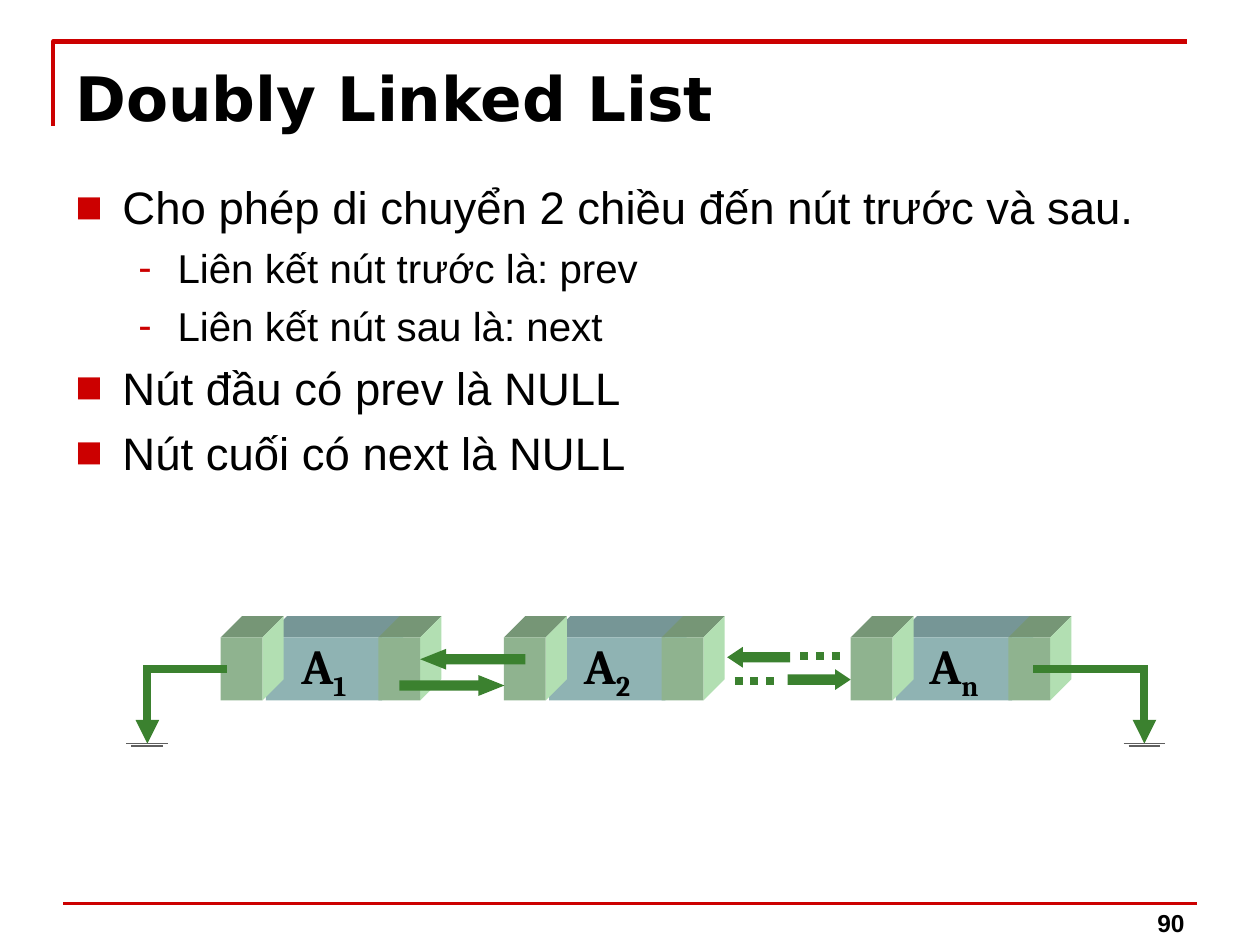
from lxml import etree
from pptx import Presentation
from pptx.dml.color import RGBColor
from pptx.enum.dml import MSO_LINE
from pptx.enum.shapes import MSO_CONNECTOR, MSO_SHAPE
from pptx.enum.text import MSO_ANCHOR, PP_ALIGN
from pptx.oxml.ns import qn
from pptx.util import Cm, Pt

STRAIGHT = MSO_CONNECTOR.STRAIGHT
DOTTED = MSO_LINE.ROUND_DOT
RECTANGLE = MSO_SHAPE.RECTANGLE
RIGHT, LEFT = MSO_SHAPE.RIGHT_ARROW, MSO_SHAPE.LEFT_ARROW
TOP, MIDDLE, BOTTOM = MSO_ANCHOR.TOP, MSO_ANCHOR.MIDDLE, MSO_ANCHOR.BOTTOM

RED, GREEN, GRAY, BLACK = "CC0000", "3B812F", "5F5F5F", "000000"

# Content
TITLE = "Doubly Linked List"
PAGE_NUMBER = "90"
BULLETS = [
    (0, "Cho phép di chuyển 2 chiều đến nút trước và sau."),
    (1, "Liên kết nút trước là: prev"),
    (1, "Liên kết nút sau là: next"),
    (0, "Nút đầu có prev là NULL"),
    (0, "Nút cuối có next là NULL"),
]
LEVELS = [  # lengths in cm, sizes in points
    {"bullet": "■", "margin": 0.95, "hanging": 0.95, "size": 26, "before": 6},
    {"bullet": "-", "margin": 2.06, "hanging": 0.79, "size": 23, "before": 5.5},
]

# Diagram, in cm
NODES = [("1", 4.45), ("2", 10.16), ("n", 17.15)]  # subscript, left
NODE_TOP, NODE_HEIGHT, DEPTH = 12.85, 1.27, 0.43
LINK_FACES = ("8FB38F", "769676", "B2DFB2")  # front, top, side
DATA_FACES = ("8FB3B3", "769696", "B2DFDF")
NODE_PARTS = [  # offset, width, faces, holds text; back to front
    (0.91, 2.34, DATA_FACES, True),
    (3.18, 0.84, LINK_FACES, False),
    (0, 0.84, LINK_FACES, False),
]
BLOCK_ARROWS = [  # direction, left, top, width, head length
    (RIGHT, 8.05, 13.61, 2.12, 1.25),
    (RIGHT, 15.88, 13.49, 1.27, 0.75),
    (LEFT, 8.47, 13.08, 2.12, 1.25),
    (LEFT, 14.66, 13.04, 1.27, 0.75),
]
ARROW_HEIGHT = 0.42
DOTS = [(14.81, 13.72), (16.13, 13.23)]  # left, y
DOTS_WIDTH = 0.86
NULL_ENDS = [(4.57, 2.97), (20.83, 23.07)]  # link start x, ground x
LINK_Y, GROUND_Y = 13.49, 14.99
GROUND_BARS = [(0, 0.42), (0.05, 0.32)]  # drop, half width


def color(value):
    return RGBColor.from_string(value)


def apply(target, values):
    for name, value in values.items():
        setattr(target, name, value)


def set_font(font, name, size, bold=False):
    apply(font, {"name": name, "size": Pt(size), "bold": bold})
    font.color.rgb = color(BLACK)


def paint(shape, fill):
    shape.shadow.inherit = False
    shape.fill.solid()
    shape.fill.fore_color.rgb = color(fill)
    shape.line.fill.background()


def add_polygon(slide, points, closed=True):
    points = [(Cm(x), Cm(y)) for x, y in points]
    builder = slide.shapes.build_freeform(*points[0], scale=1.0)
    builder.add_line_segments(points[1:], close=closed)
    return builder.convert_to_shape()


def add_line(slide, start, end, line_color, width, dash=None, arrow=False):
    connector = slide.shapes.add_connector(
        STRAIGHT, *(Cm(value) for value in (*start, *end)))
    connector.line.color.rgb = color(line_color)
    connector.line.width = Pt(width)
    if dash:
        connector.line.dash_style = dash
    if arrow:
        etree.SubElement(connector.line._get_or_add_ln(), qn("a:tailEnd"), type="triangle")
    etree.SubElement(connector._element.spPr, qn("a:effectLst"))


def add_text_box(slide, box, anchor, margin_top=0.13):
    frame = slide.shapes.add_textbox(*(Cm(value) for value in box)).text_frame
    apply(frame, {"word_wrap": True, "vertical_anchor": anchor,
                  "margin_top": Cm(margin_top)})
    return frame


def add_bullet(paragraph, level):
    properties = paragraph._p.get_or_add_pPr()
    properties.set("marL", str(Cm(level["margin"])))
    properties.set("indent", str(-Cm(level["hanging"])))
    bullet_color = etree.SubElement(properties, qn("a:buClr"))
    etree.SubElement(bullet_color, qn("a:srgbClr"), val=RED)
    etree.SubElement(properties, qn("a:buFont"), typeface="Arial")
    etree.SubElement(properties, qn("a:buChar"), char=level["bullet"])


def add_block(slide, left, width, faces):
    """Draw a box with its top and right side; return the front."""
    top, right, bottom = NODE_TOP, left + width, NODE_TOP + NODE_HEIGHT
    back_top, back_right = top - DEPTH, right + DEPTH
    front_fill, top_fill, side_fill = faces
    paint(add_polygon(slide, [(left, top), (left + DEPTH, back_top),
                              (back_right, back_top), (right, top)]), top_fill)
    paint(add_polygon(slide, [(right, top), (back_right, back_top),
                              (back_right, bottom - DEPTH), (right, bottom)]), side_fill)
    front = slide.shapes.add_shape(
        RECTANGLE, Cm(left), Cm(top), Cm(width), Cm(NODE_HEIGHT))
    paint(front, front_fill)
    return front


def add_label(shape, subscript):
    frame = shape.text_frame
    apply(frame, {"word_wrap": False, "vertical_anchor": MIDDLE})
    paragraph = frame.paragraphs[0]
    paragraph.alignment = PP_ALIGN.CENTER
    for text in ("A", subscript):
        run = paragraph.add_run()
        run.text = text
        set_font(run.font, "Cambria", 28, True)
    run.font._element.set("baseline", "-25000")


def add_frame_and_text(slide):
    # Corner rule and footer rule
    corner = add_polygon(slide, [(1.07, 2.54), (1.07, 0.84), (23.93, 0.84)], closed=False)
    corner.shadow.inherit = False
    corner.fill.background()
    corner.line.color.rgb = color(RED)
    corner.line.width = Pt(2.5)
    add_line(slide, (1.27, 18.21), (24.13, 18.21), RED, 2)

    # Page number and title
    paragraph = add_text_box(slide, (18.21, 17.75, 5.92, 1.27), BOTTOM).paragraphs[0]
    paragraph.text = PAGE_NUMBER
    paragraph.alignment = PP_ALIGN.RIGHT
    set_font(paragraph.font, "Arial", 14, True)
    paragraph = add_text_box(slide, (1.27, 0.99, 22.86, 2.18), TOP, 0.23).paragraphs[0]
    paragraph.text = TITLE
    set_font(paragraph.font, "DejaVu Sans", 35, True)

    # Bullets
    frame = add_text_box(slide, (1.27, 3.38, 22.86, 13.64), TOP, 0.23)
    for index, (depth, text) in enumerate(BULLETS):
        level = LEVELS[depth]
        paragraph = frame.add_paragraph() if index else frame.paragraphs[0]
        paragraph.text = text
        apply(paragraph, {"level": depth, "alignment": PP_ALIGN.JUSTIFY,
                          "space_before": Pt(level["before"] if index else 0)})
        add_bullet(paragraph, level)
        set_font(paragraph.font, "Arial", level["size"])


def add_diagram(slide):
    # Nodes
    for subscript, left in NODES:
        for offset, width, faces, has_text in NODE_PARTS:
            front = add_block(slide, left + offset, width, faces)
            if has_text:
                add_label(front, subscript)

    # Links between nodes
    for direction, left, top, width, head in BLOCK_ARROWS:
        arrow = slide.shapes.add_shape(
            direction, Cm(left), Cm(top), Cm(width), Cm(ARROW_HEIGHT))
        arrow.adjustments[0], arrow.adjustments[1] = 0.5, head
        paint(arrow, GREEN)
    for left, y in DOTS:
        add_line(slide, (left, y), (left + DOTS_WIDTH, y), GREEN, 4.5, dash=DOTTED)

    # Null links down to ground
    for start, ground in NULL_ENDS:
        overlap = 0.08 if ground > start else -0.08
        add_line(slide, (start, LINK_Y), (ground + overlap, LINK_Y), GREEN, 4.5)
        add_line(slide, (ground, LINK_Y), (ground, GROUND_Y), GREEN, 4.5, arrow=True)
        for drop, half in GROUND_BARS:
            y = GROUND_Y + drop
            add_line(slide, (ground - half, y), (ground + half, y), GRAY, 0.75)


def main():
    presentation = Presentation()
    apply(presentation, {"slide_width": Cm(25.4), "slide_height": Cm(19.05)})
    slide = presentation.slides.add_slide(presentation.slide_layouts[6])
    add_frame_and_text(slide)
    add_diagram(slide)
    presentation.save("out.pptx")


if __name__ == "__main__":
    main()
